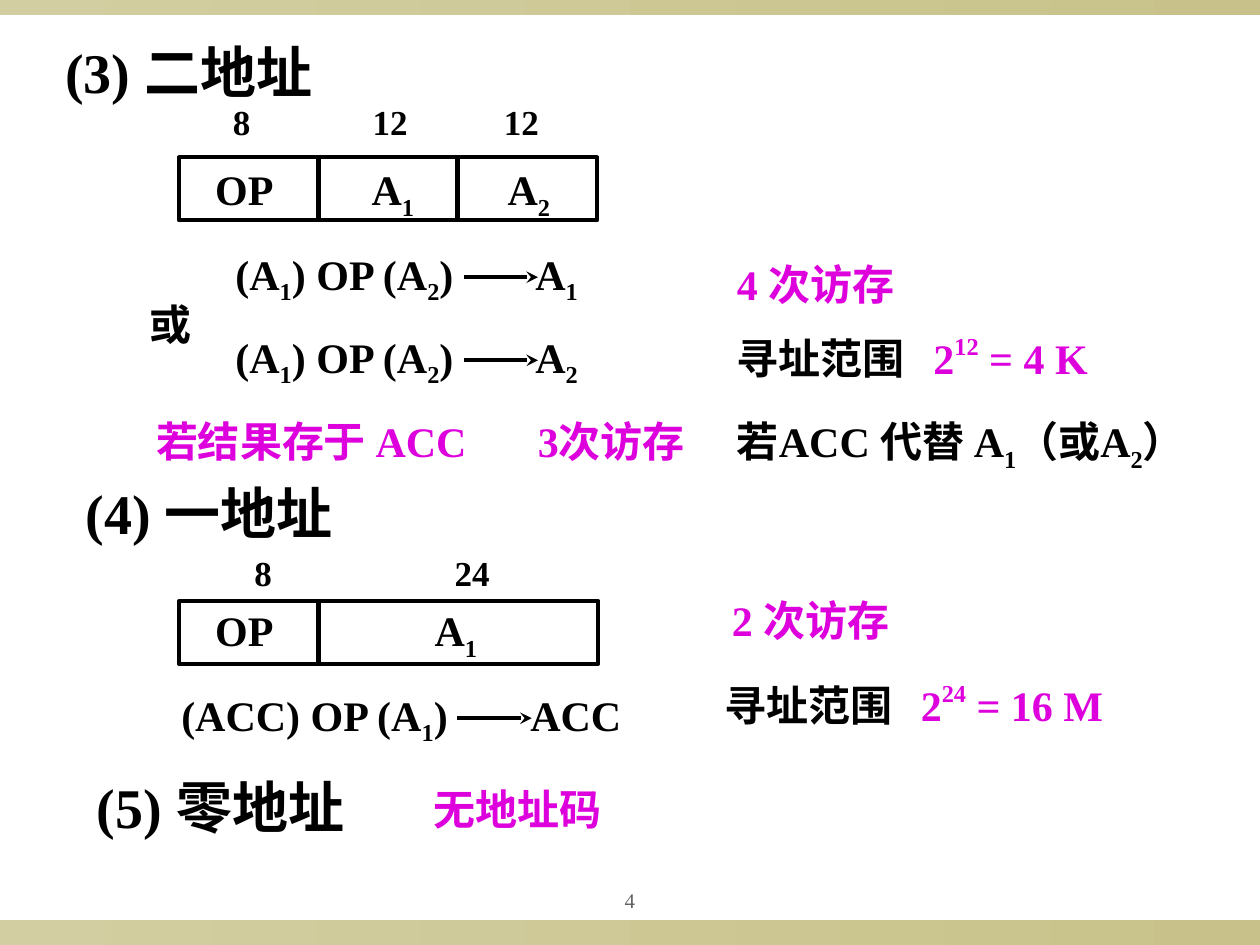
from dataclasses import dataclass

from lxml.etree import SubElement
from pptx import Presentation
from pptx.dml.color import RGBColor as RGB
from pptx.enum.shapes import MSO_CONNECTOR as CONN, MSO_SHAPE as SHAPE
from pptx.enum.text import MSO_ANCHOR as ANCHOR, PP_ALIGN as ALIGN
from pptx.oxml.ns import qn
from pptx.util import Inches, Pt


@dataclass(frozen=True)
class Theme:
    font: str = "Times New Roman"
    ink: str = "000000"
    accent: str = "DD00DD"
    muted: str = "636363"
    band: tuple = ("D3CEA1", "C8C28A")
    heading: float = 32
    body: float = 24
    label: float = 20
    number: float = 11.9
    line: float = 2.25


class Deck:
    """Draws the elements of one slide in one theme."""

    def __init__(self, prs, theme):
        self.theme = theme
        self.s = prs.slides.add_slide(prs.slide_layouts[6])

    def rect(self, x, y, w, h):
        box = [Inches(v) for v in (x, y, w, h)]
        sp = self.s.shapes.add_shape(SHAPE.RECTANGLE, *box)
        sp.shadow.inherit = False
        return sp

    def band(self, y, h):
        sp = self.rect(0, y, 10, h)
        sp.line.fill.background()
        sp.fill.gradient()
        sp.fill.gradient_angle = 0
        for stop, color in zip(sp.fill.gradient_stops, self.theme.band):
            stop.color.rgb = RGB.from_string(color)

    def text(self, x, y, w, h, *parts, size=None, color=None, tail_color=None, tabs=()):
        """Adds text whose parts are lowered by a leading _ and raised by a leading ^."""
        color = color or self.theme.ink
        tf = self.s.shapes.add_textbox(*[Inches(v) for v in (x, y, w, h)]).text_frame
        tf.word_wrap = True
        p = tf.paragraphs[0]
        if tabs:
            tab_list = SubElement(p._p.get_or_add_pPr(), qn("a:tabLst"))
            for pos in tabs:
                SubElement(tab_list, qn("a:tab"), pos=str(Inches(pos)), algn="l")
        for i, part in enumerate(parts):
            r = p.add_run()
            r.text = part.lstrip("_^")
            r.font.name = self.theme.font
            r.font.size = Pt(size or self.theme.body)
            r.font.bold = True
            r.font.color.rgb = RGB.from_string(tail_color if i and tail_color else color)
            if part[0] in "_^":
                r.font._element.set("baseline", "-25000" if part[0] == "_" else "45000")
        return tf

    def heading(self, x, y, text):
        self.text(x, y, 3.1, 0.64, text, size=self.theme.heading)

    def note(self, x, y, w, text):
        self.text(x, y, w, 0.5, text, color=self.theme.accent)

    def labels(self, x, y, text, *tabs):
        self.text(x, y, 2.8, 0.44, text, size=self.theme.label, tabs=tabs)

    def field(self, x, y, w, text_x, text_y, *parts):
        sp = self.rect(x, y, w, 0.5)
        sp.fill.background()
        sp.line.color.rgb = RGB.from_string(self.theme.ink)
        sp.line.width = Pt(self.theme.line)
        self.text(text_x, text_y, 0.75, 0.56, *parts)

    def transfer(self, x, y, tab, arrow_x, *parts):
        self.text(x, y, 3.85, 0.56, *parts, tabs=[tab])
        ends = [Inches(v) for v in (arrow_x, y + 0.28, arrow_x + 0.59, y + 0.28)]
        ln = self.s.shapes.add_connector(CONN.STRAIGHT, *ends)
        ln.line.color.rgb = RGB.from_string(self.theme.ink)
        ln.line.width = Pt(self.theme.line)
        SubElement(ln.line._get_or_add_ln(), qn("a:tailEnd"), type="stealth")
        SubElement(ln._element.spPr, qn("a:effectLst"))

    def address_range(self, x, y, power, result):
        self.text(x, y, 3.4, 0.51, "寻址范围\t2", "^" + power, " = " + result,
                  tail_color=self.theme.accent, tabs=[1.56])
        p = self.s.shapes[-1].text_frame.paragraphs[0]
        p.runs[0].text = "寻址范围"
        return p

    def scope(self, x, y, power, result):
        self.text(x, y, 3.4, 0.51, "寻址范围", "\t2", "^" + power, " = " + result,
                  tail_color=self.theme.accent, tabs=[1.56])

    def page_number(self, text):
        tf = self.text(4.5, 7, 1, 0.31, text, size=self.theme.number, color=self.theme.muted)
        tf.vertical_anchor = ANCHOR.MIDDLE
        p = tf.paragraphs[0]
        p.alignment = ALIGN.CENTER
        p.line_spacing = 0.9
        p.runs[0].font.bold = False


def main():
    prs = Presentation()
    prs.slide_width, prs.slide_height = Inches(10), Inches(7.5)
    d = Deck(prs, Theme())
    d.band(7.3, 0.2)
    d.band(0, 0.12)
    d.page_number("4")

    d.heading(0.42, 0.25, "(3) 二地址")
    d.labels(1.75, 0.75, "8\t12\t12", 1.11, 2.15)
    d.field(1.42, 1.25, 1.11, 1.61, 1.25, "OP")
    for i, text_x in enumerate((2.85, 3.93), 1):
        d.field(1.42 + 1.105 * i, 1.25, 1.11, text_x, 1.25, "A", f"_{i}")
    for y, target in ((1.92, "_1"), (2.58, "_2")):
        d.transfer(1.77, y, 2.38, 3.68, "(A", "_1", ") OP (A", "_2", ")\tA", target)
    d.text(1.09, 2.32, 0.6, 0.5, "或")
    d.note(5.75, 2, 3.02, "4 次访存")
    d.scope(5.75, 2.58, "12", "4 K")
    d.note(1.14, 3.25, 3.1, "若结果存于 ACC")
    d.note(4.17, 3.25, 2, "3次访存")
    d.text(5.75, 3.25, 3.93, 1.01, "若ACC 代替 A", "_1", "（或A", "_2", "）")

    d.heading(0.58, 3.75, "(4) 一地址")
    d.labels(1.92, 4.33, "8\t24", 1.59)
    d.field(1.42, 4.77, 1.11, 1.61, 4.75, "OP")
    d.field(2.52, 4.77, 2.23, 3.35, 4.75, "A", "_1")
    d.transfer(1.34, 5.42, 2.77, 3.63, "(ACC) OP (A", "_1", ")\tACC")
    d.note(5.71, 4.67, 1.6, "2 次访存")
    d.scope(5.65, 5.33, "24", "16 M")

    d.heading(0.67, 6.08, "(5) 零地址")
    d.note(3.34, 6.17, 1.6, "无地址码")
    prs.save("out.pptx")


if __name__ == "__main__":
    main()
